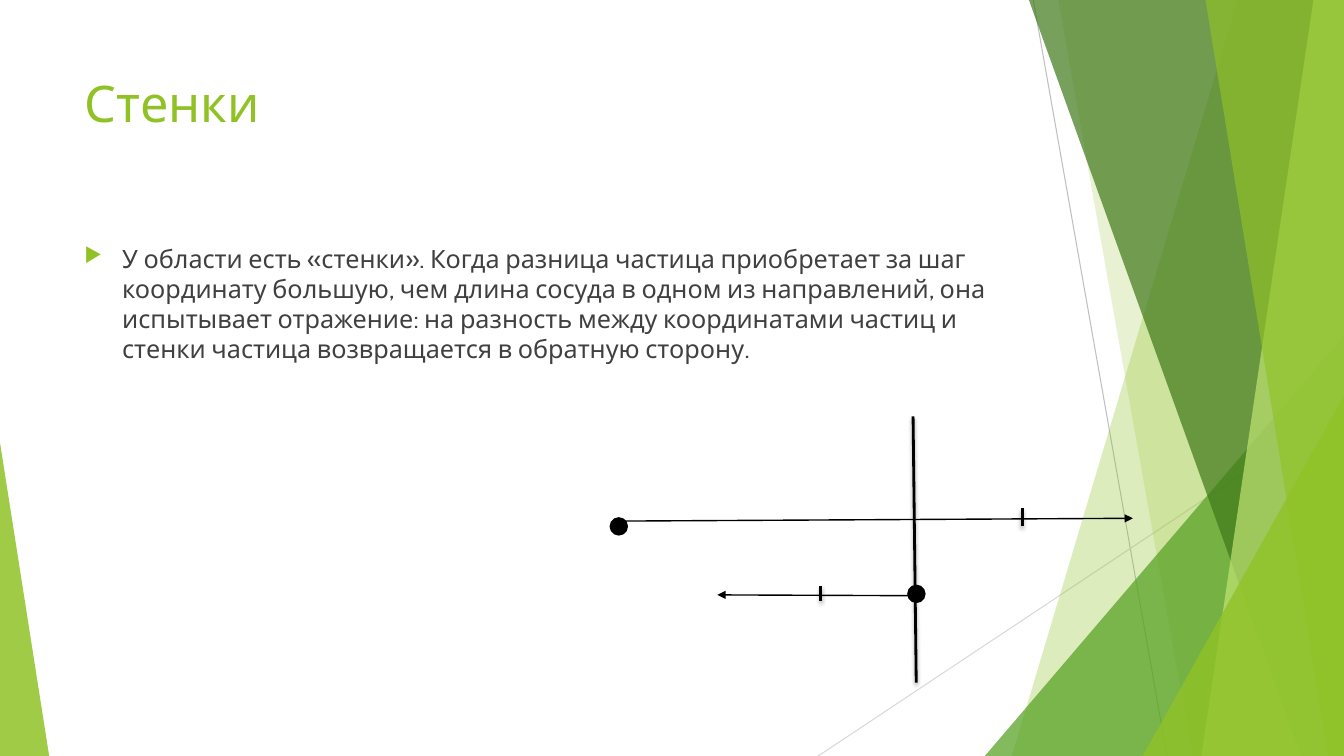
from dataclasses import dataclass
from lxml import etree
from pptx import Presentation
from pptx.dml.color import RGBColor
from pptx.enum.shapes import MSO_CONNECTOR, MSO_SHAPE
from pptx.enum.text import MSO_ANCHOR, PP_ALIGN
from pptx.oxml import parse_xml
from pptx.oxml.ns import qn
from pptx.util import Cm, Pt

LINE = MSO_CONNECTOR.STRAIGHT
TRI = MSO_SHAPE.ISOSCELES_TRIANGLE
OVAL = MSO_SHAPE.OVAL
TOP = MSO_ANCHOR.TOP
LEFT = PP_ALIGN.LEFT
NS = 'xmlns:a="http://schemas.openxmlformats.org/drawingml/2006/main"'


@dataclass
class Theme:
    font: str = "Cabin"
    lime: str = "90C226"
    leaf: str = "54A021"
    moss: str = "3F7819"
    pale: str = "C0E474"
    text: str = "404040"
    ink: str = "000000"
    gray: str = "BFBFBF"
    mist: str = "D9D9D9"
    head: int = 36
    body: int = 18


theme = Theme()
WIDE, HIGH = 33.87, 19.05

deck = Presentation()
deck.slide_width, deck.slide_height = Cm(WIDE), Cm(HIGH)
slide = deck.slides.add_slide(deck.slide_layouts[5])
shapes = slide.shapes


def add_line(x1, y1, x2, y2, color, width, arrow=False, shade=False):
    line = shapes.add_connector(LINE, Cm(x1), Cm(y1), Cm(x2), Cm(y2))
    line.line.color.rgb = RGBColor.from_string(color)
    line.line.width = Pt(width)
    props = line._element.spPr
    if arrow:
        tail = etree.SubElement(props.find(qn("a:ln")), qn("a:tailEnd"))
        tail.set("type", "triangle")
    glow = ""
    if shade:
        glow = (
            '<a:outerShdw blurRad="38100" dist="25400" dir="5400000" rotWithShape="0">'
            f'<a:srgbClr val="{theme.ink}"><a:alpha val="35000"/></a:srgbClr></a:outerShdw>'
        )
    props.append(parse_xml(f"<a:effectLst {NS}>{glow}</a:effectLst>"))


def add_text(frame, text, size, color):
    frame.word_wrap = True
    frame.vertical_anchor = TOP
    para = frame.paragraphs[0]
    para.alignment = LEFT
    run = para.add_run()
    run.text = text
    run.font.name = theme.font
    run.font.size = Pt(size)
    run.font.color.rgb = RGBColor.from_string(color)
    return para


add_line(26.04, 0, 29.41, HIGH, theme.gray, 0.75)
add_line(WIDE, 10.24, 20.62, HIGH, theme.mist, 0.75)

facets = [
    (31.19, 25.5, 0, theme.lime, 30),
    (26.67, 30.05, 0, theme.lime, 20),
    (WIDE, 24.82, 8.46, theme.leaf, 72),
    (25.93, 32.79, 0, theme.moss, 70),
    (33.1, 30.28, 0, theme.pale, 70),
    (30.38, 33.48, 0, theme.lime, 65),
    (WIDE, 28.8, 9.98, theme.lime, 80),
    (0, 1.24, 11.15, theme.lime, 85),
]
for head, foot, top, color, alpha in facets:
    if top:
        facet = shapes.add_shape(
            TRI, Cm(min(head, foot)), Cm(top), Cm(abs(head - foot)), Cm(HIGH - top))
        facet.adjustments[0] = 1 if head > foot else 0
    else:
        path = shapes.build_freeform(Cm(head), Cm(top))
        path.add_line_segments(
            [(Cm(WIDE), Cm(top)), (Cm(WIDE), Cm(HIGH)), (Cm(foot), Cm(HIGH))])
        facet = path.convert_to_shape()
    facet.shadow.inherit = False
    facet.line.fill.background()
    facet.fill.solid()
    facet.fill.fore_color.rgb = RGBColor.from_string(color)
    tint = facet._element.spPr.find(qn("a:solidFill"))[0]
    etree.SubElement(tint, qn("a:alpha")).set("val", str(alpha * 1000))

title = shapes.title
title.left, title.top, title.width, title.height = Cm(1.88), Cm(1.7), Cm(23.88), Cm(3.66)
add_text(title.text_frame, "Стенки", theme.head, theme.lime)

body = shapes.add_textbox(Cm(1.88), Cm(6), Cm(23.88), Cm(10.77))
para = add_text(
    body.text_frame,
    "У области есть «стенки». Когда разница частица приобретает за шаг координату "
    "большую, чем длина сосуда в одном из направлений, она испытывает отражение: "
    "на разность между координатами частиц и стенки частица возвращается в обратную сторону.",
    theme.body, theme.text)
para.space_before = Pt(10)
props = para._p.get_or_add_pPr()
props.set("marL", str(Cm(0.95)))
props.set("indent", str(-Cm(0.95)))
for mark in (
    f'<a:buClr {NS}><a:srgbClr val="{theme.lime}"/></a:buClr>',
    f'<a:buSzPct {NS} val="80000"/>',
    f'<a:buChar {NS} char="▶"/>',
):
    props.append(parse_xml(mark))

add_line(23.01, 10.49, 23.09, 17.2, theme.ink, 2, shade=True)
add_line(15.72, 13.13, 28.55, 13.06, theme.ink, 1, arrow=True)
add_line(22.89, 15.01, 18.08, 14.99, theme.ink, 1, arrow=True)
for x, top, foot in [(20.68, 14.76, 15.14), (25.76, 12.8, 13.26)]:
    add_line(x, top, x, foot, theme.ink, 2, shade=True)

for x, y in [(15.39, 13.06), (22.89, 14.76)]:
    dot = shapes.add_shape(OVAL, Cm(x), Cm(y), Cm(0.41), Cm(0.41))
    dot.shadow.inherit = False
    dot.fill.solid()
    dot.fill.fore_color.rgb = RGBColor.from_string(theme.ink)
    dot.line.color.rgb = RGBColor.from_string(theme.ink)
    dot.line.width = Pt(1.5)

deck.save("out.pptx")
